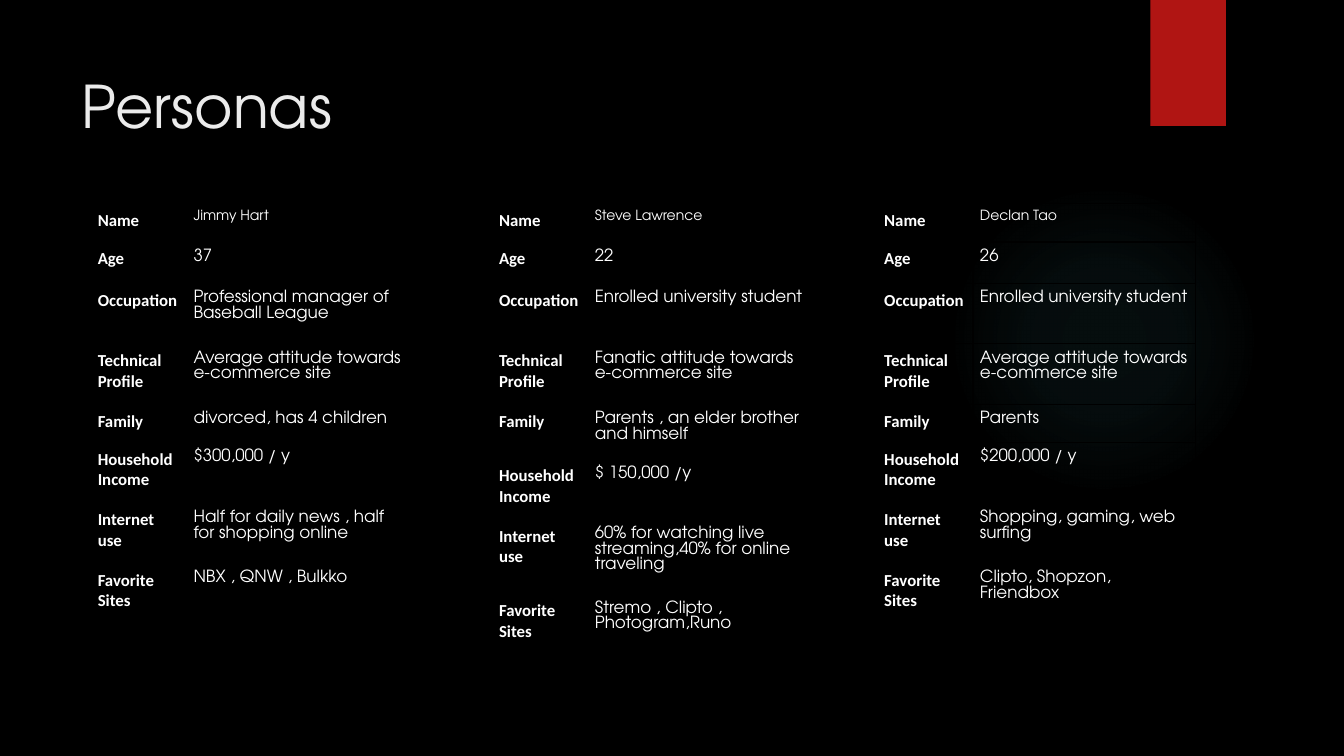
import pptx
import pptx.util
import pptx.oxml
import pptx.dml.color
import pptx.enum.shapes
from pptx.util import Inches

RGBColor = pptx.dml.color.RGBColor
SHAPE = pptx.enum.shapes.MSO_SHAPE
BLACK = RGBColor(0x00, 0x00, 0x00)
WHITE = RGBColor(0xFF, 0xFF, 0xFF)
PALE = RGBColor(0xEB, 0xEB, 0xEB)
RED = RGBColor(0xB0, 0x15, 0x13)
TEAL = RGBColor(0x50, 0xB9, 0xC1)

SANS = "TeX Gyre Adventor"
BOLD = "Calibri"
NS = 'xmlns:a="http://schemas.openxmlformats.org/drawingml/2006/main"'
COLS = [0.95, 2.21]
ROWS = [0.38, 0.41, 0.6, 0.6, 0.38, 0.6, 0.6, 0.54]
LABELS = ["Name", "Age", "Occupation", "Technical Profile", "Family",
          "Household Income", "Internet use", "Favorite Sites"]
PEOPLE = [
    (0.9, ["Jimmy Hart", "37", "Professional manager of Baseball League",
           "Average attitude towards e-commerce site",
           "divorced, has 4 children", "$300,000 / y",
           "Half for daily news , half for shopping online",
           "NBX , QNW , Bulkko"]),
    (4.88, ["Steve Lawrence", "22", "Enrolled university student",
            "Fanatic attitude towards e-commerce site",
            "Parents , an elder brother and himself", "$ 150,000 /y",
            "60% for watching live streaming,40% for online traveling",
            "Stremo , Clipto , Photogram,Runo"]),
    (8.7, ["Declan Tao", "26", "Enrolled university student",
           "Average attitude towards e-commerce site", "Parents",
           "$200,000 / y", "Shopping, gaming, web surfing",
           "Clipto, Shopzon, Friendbox"]),
]


def write(frame, text, size, face, color, bold=False):
    """Add one styled run to the first paragraph of a frame."""
    run = frame.paragraphs[0].add_run()
    run.text = text
    run.font.size = pptx.util.Pt(size)
    run.font.name = face
    run.font.bold = bold
    run.font.color.rgb = color


def add_form(slide, kind, left, top, width, height):
    """Add a preset shape without line or shadow."""
    form = slide.shapes.add_shape(
        kind, Inches(left), Inches(top), Inches(width), Inches(height))
    form.shadow.inherit = False
    form.line.fill.background()
    return form


def add_glow(slide):
    """Add the faint round glow on the right."""
    glow = add_form(slide, SHAPE.OVAL, 9.41, 1.83, 3.08, 3.08)
    stops = "".join(
        f'<a:gs pos="{place}000"><a:srgbClr val="{TEAL}">'
        f'<a:alpha val="{alpha}000"/></a:srgbClr></a:gs>'
        for place, alpha in [(0, 7), (36, 6), (69, 0)])
    fill = pptx.oxml.parse_xml(
        f'<a:gradFill {NS}><a:gsLst>{stops}</a:gsLst><a:path path="circle">'
        '<a:fillToRect l="50000" t="50000" r="50000" b="50000"/>'
        '</a:path></a:gradFill>')
    glow._element.spPr.insert(2, fill)


def add_title(slide, text):
    """Add the slide title."""
    box = slide.shapes.add_textbox(
        Inches(0.71), Inches(0.5), Inches(10.29), Inches(1.53))
    box.text_frame.word_wrap = True
    box.text_frame.margin_top = Inches(0.19)
    write(box.text_frame, text, 42, SANS, PALE)


def fill_cell(cell, text, size, face, bold):
    """Style one table cell and write its text."""
    cell.margin_left = cell.margin_right = Inches(0.07)
    cell.margin_top = cell.margin_bottom = Inches(0.07)
    write(cell.text_frame, text, size, face, WHITE, bold)
    props = cell._tc.get_or_add_tcPr()
    for side in ("lnL", "lnR", "lnT", "lnB"):
        props.append(pptx.oxml.parse_xml(
            f'<a:{side} {NS} w="12700"><a:solidFill>'
            f'<a:srgbClr val="{BLACK}"/></a:solidFill></a:{side}>'))
    cell.fill.background()


def add_card(slide, left, facts):
    """Add the table of one persona."""
    table = slide.shapes.add_table(
        len(ROWS), len(COLS), Inches(left), Inches(2.02),
        Inches(sum(COLS)), Inches(sum(ROWS))).table
    table.first_row = table.horz_banding = False
    for col, width in zip(table.columns, COLS):
        col.width = Inches(width)
    for row, (height, label, fact) in enumerate(zip(ROWS, LABELS, facts)):
        table.rows[row].height = Inches(height)
        fill_cell(table.cell(row, 0), label, 12, BOLD, True)
        fill_cell(table.cell(row, 1), fact, 12 if row else 10, SANS, False)


def main():
    """Build the personas slide."""
    deck = pptx.Presentation()
    deck.slide_width, deck.slide_height = Inches(13.33), Inches(7.5)
    slide = deck.slides.add_slide(deck.slide_layouts[6])
    slide.background.fill.solid()
    slide.background.fill.fore_color.rgb = BLACK
    add_glow(slide)
    flag = add_form(slide, SHAPE.RECTANGLE, 11.41, 0, 0.75, 1.25)
    flag.fill.solid()
    flag.fill.fore_color.rgb = RED
    add_title(slide, "Personas")
    for left, facts in PEOPLE:
        add_card(slide, left, facts)
    deck.save("out.pptx")


if __name__ == "__main__":
    main()
